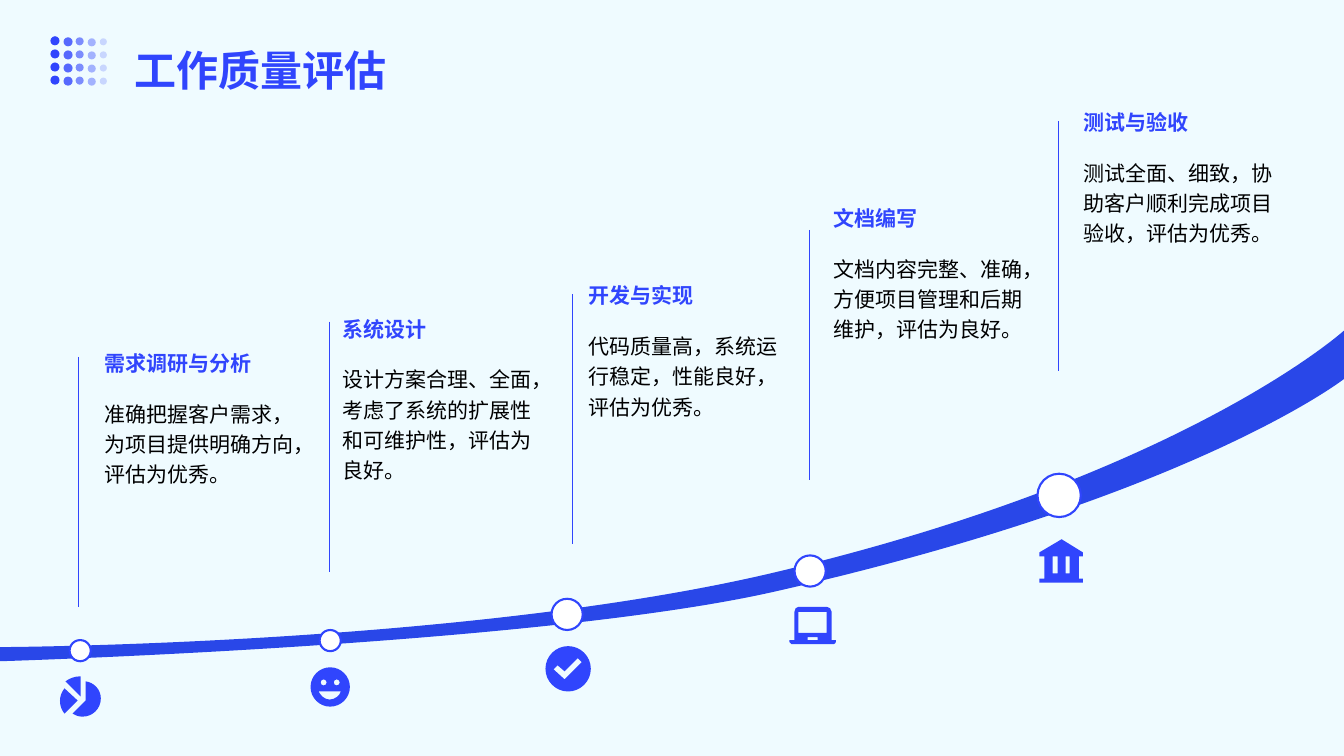
from lxml import etree
from pptx import Presentation
from pptx.dml.color import RGBColor
from pptx.enum.lang import MSO_LANGUAGE_ID
from pptx.enum.shapes import MSO_CONNECTOR, MSO_SHAPE
from pptx.enum.text import MSO_ANCHOR, MSO_AUTO_SIZE
from pptx.oxml.ns import qn
from pptx.util import Pt

PX = 9144
FONT = "Noto Sans CJK SC"
BLUE = RGBColor(0x30, 0x45, 0xFD)
ROAD_BLUE = RGBColor(0x29, 0x47, 0xE8)
PALE = RGBColor(0xEF, 0xFB, 0xFF)
WHITE = RGBColor(0xFF, 0xFF, 0xFF)
BLACK = RGBColor(0, 0, 0)
OVAL = MSO_SHAPE.OVAL
STRAIGHT = MSO_CONNECTOR.STRAIGHT
TOP = MSO_ANCHOR.TOP
FIT_SHAPE = MSO_AUTO_SIZE.SHAPE_TO_FIT_TEXT
CHINESE = MSO_LANGUAGE_ID.SIMPLIFIED_CHINESE

LINE_HEIGHT = 248
BODY_OFFSET = 40
STAGES = [
    ("需求调研与分析", "准确把握客户需求，为项目提供明确方向，评估为优秀。",
     (91, 347), (78, 354), (69, 635, 21)),
    ("系统设计", "设计方案合理、全面，考虑了系统的扩展性和可维护性，评估为良好。",
     (327, 313), (327, 319), (317, 625, 21)),
    ("开发与实现", "代码质量高，系统运行稳定，性能良好，评估为优秀。",
     (571, 280), (568, 292), (547, 594, 31)),
    ("文档编写", "文档内容完整、准确，方便项目管理和后期维护，评估为良好。",
     (814, 203), (803, 228), (788, 551, 31)),
    ("测试与验收", "测试全面、细致，协助客户顺利完成项目验收，评估为优秀。",
     (1062, 108), (1050, 120), (1029, 470, 43)),
]


def circle(left, top, size):
    radius = size / 2
    x, y = left + radius, top + radius
    right, bottom = left + size, top + size
    handle = 0.55 * radius
    return [
        (x, top),
        (x + handle, top, right, y - handle, right, y),
        (right, y + handle, x + handle, bottom, x, bottom),
        (x - handle, bottom, left, y + handle, left, y),
        (left, y - handle, x - handle, top, x, top),
    ]


def box(left, top, width, height):
    right, bottom = left + width, top + height
    return [(left, top), (right, top), (right, bottom), (left, bottom)]


ROAD = [[
    (1333, 328), (1333, 328, 1174, 472, 768, 568), (464, 640, 0, 642, 0, 642),
    (0, 656), (0, 656, 534, 640, 768, 587), (1183, 493, 1333, 376, 1333, 376)]]
PIE_ICON = [
    [(77, 695), (64, 683), (58, 690, 58, 701, 64, 708)],
    [(85, 676), (85, 695), (72, 708), (75, 710, 78, 711, 82, 711),
     (92, 711, 100, 703, 100, 693), (100, 684, 93, 677, 85, 676)],
    [(80, 691), (80, 671), (74, 671, 69, 673, 65, 676)],
]
SMILE_ICON = [
    circle(308, 662, 39), circle(318, 674, 6), circle(331, 674, 6),
    [(338, 686), (316, 686), (318, 690, 322, 694, 327, 694),
     (332, 694, 337, 690, 338, 686)],
]
CHECK_ICON = [
    circle(541, 641, 45),
    [(560, 674), (549, 664), (553, 660), (560, 666), (573, 653), (577, 657)],
]
LAPTOP_ICON = [
    [(825, 635), (829, 635), (829, 637), (829, 638, 828, 639, 827, 639),
     (785, 639), (784, 639, 783, 638, 783, 637), (783, 635), (788, 635),
     (788, 607), (788, 604, 790, 602, 792, 602), (820, 602),
     (822, 602, 825, 604, 825, 607)],
    box(792, 607, 28, 21), box(801, 632, 10, 3),
]
BANK_ICON = [
    [(1031, 548), (1053, 535), (1074, 548), (1074, 552), (1031, 552)],
    box(1031, 574, 43, 4), box(1036, 569, 34, 5),
    box(1036, 552, 8, 17), box(1049, 552, 8, 17), box(1061, 552, 9, 17),
]


class SlideBuilder:
    def __init__(self, slide):
        self.slide = slide
        self.shapes = slide.shapes

    def background(self, color):
        fill = self.slide.background.fill
        fill.solid()
        fill.fore_color.rgb = color

    def paint(self, shape, color):
        shape.shadow.inherit = False
        shape.fill.solid()
        shape.fill.fore_color.rgb = color
        shape.line.fill.background()

    def oval(self, left, top, size, color, line=None, opacity=100):
        shape = self.shapes.add_shape(OVAL, left * PX, top * PX, size * PX, size * PX)
        self.paint(shape, color)
        if line is not None:
            shape.line.color.rgb = line
            shape.line.width = Pt(1.5)
        if opacity < 100:
            color_element = shape.fill._xPr.find(qn("a:solidFill"))[0]
            alpha = etree.SubElement(color_element, qn("a:alpha"))
            alpha.set("val", str(opacity * 1000))

    def freeform(self, contours, color):
        builder = self.shapes.build_freeform(*(value * PX for value in contours[0][0]))
        for index, (start, *steps) in enumerate(contours):
            if index:
                builder.move_to(*(value * PX for value in start))
            points = [(step[i] * PX, step[i + 1] * PX)
                      for step in steps for i in range(0, len(step), 2)]
            builder.add_line_segments(points, close=True)
        shape = builder.convert_to_shape()
        self.bend(shape, [step for contour in contours for step in contour[1:]])
        self.paint(shape, color)

    def bend(self, shape, steps):
        segments = iter(list(shape._element.iter(qn("a:lnTo"))))
        for step in steps:
            first = next(segments)
            if len(step) == 6:
                first.tag = qn("a:cubicBezTo")
                for segment in (next(segments), next(segments)):
                    first.append(segment[0])
                    segment.getparent().remove(segment)

    def vertical_line(self, x, top, height):
        connector = self.shapes.add_connector(
            STRAIGHT, x * PX, top * PX, x * PX, (top + height) * PX)
        connector.line.color.rgb = BLUE
        connector.line.width = Pt(0.75)
        etree.SubElement(connector._element.spPr, qn("a:effectLst"))

    def text(self, text, left, top, width, height, *, size=15, color=BLACK,
             bold=False, spacing=1.2, insets=(13, 6, 12, 6)):
        shape = self.shapes.add_textbox(left * PX, top * PX, width * PX, height * PX)
        frame = shape.text_frame
        frame.word_wrap = True
        frame.auto_size = FIT_SHAPE
        frame.vertical_anchor = TOP
        (frame.margin_left, frame.margin_top,
         frame.margin_right, frame.margin_bottom) = (inset * PX for inset in insets)
        paragraph = frame.paragraphs[0]
        paragraph.line_spacing = spacing
        run = paragraph.add_run()
        run.text = text
        font = run.font
        font.name = FONT
        font.size = Pt(size)
        font.bold = bold
        font.color.rgb = color
        font.language_id = CHINESE
        east_asian = etree.SubElement(font._element, qn("a:ea"))
        east_asian.set("typeface", FONT)


def main():
    presentation = Presentation()
    presentation.slide_width = 1333 * PX
    presentation.slide_height = 750 * PX
    builder = SlideBuilder(presentation.slides.add_slide(presentation.slide_layouts[6]))
    builder.background(PALE)
    builder.freeform(ROAD, ROAD_BLUE)

    for heading, body, (left, top), line_start, node in STAGES:
        builder.oval(*node, WHITE, line=BLUE)
        builder.vertical_line(*line_start, LINE_HEIGHT)
        builder.text(heading, left, top, 229, 38, color=BLUE, bold=True, spacing=0.77)
        builder.text(body, left, top + BODY_OFFSET, 216, 138)

    for icon in (PIE_ICON, SMILE_ICON, CHECK_ICON, LAPTOP_ICON, BANK_ICON):
        builder.freeform(icon, BLUE)

    dot_columns = [(50, 36, 9), (63, 37, 9), (75, 37, 8), (87, 38, 8), (99, 38, 7)]
    for row in range(4):
        for column, (left, top, size) in enumerate(dot_columns):
            builder.oval(left, top + 13 * row, size, BLUE, opacity=100 - 20 * column)
    builder.text("工作质量评估", 120, 10, 1094, 100, size=30, color=BLUE, bold=True,
                 spacing=1.4, insets=(13, 14, 6, 14))
    presentation.save("out.pptx")


if __name__ == "__main__":
    main()
